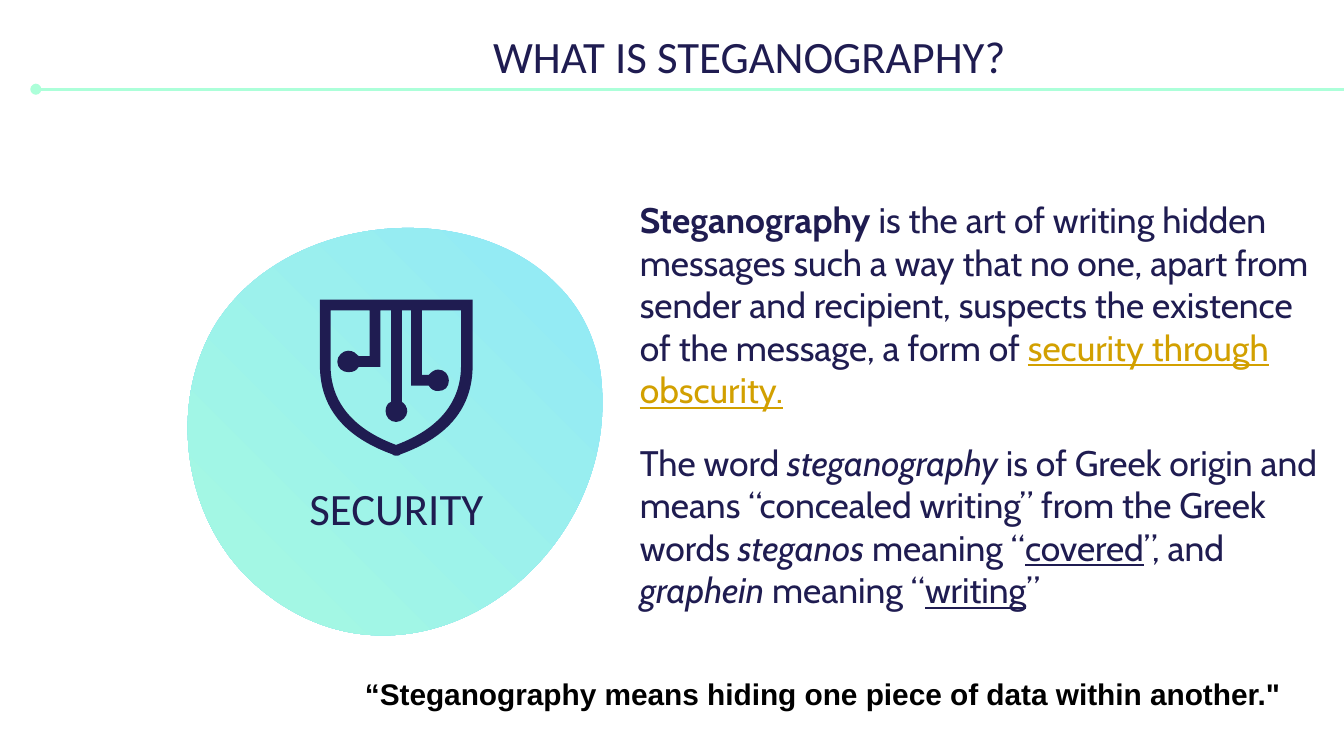
from itertools import islice
from math import cos, radians, sin
from lxml.etree import SubElement as Sub
from pptx import Presentation
from pptx.dml.color import RGBColor as Rgb
from pptx.enum.shapes import MSO_CONNECTOR as Link
from pptx.enum.text import PP_ALIGN as Align
from pptx.oxml.ns import qn
from pptx.util import Pt

HUE = {"navy": "1F1C51", "mint": "ACFFD9", "sky": "8BE3FF", "gold": "D2A000", "black": "000000"}
HEAD = {"name": "Calibri", "size": 24, "hue": "navy"}
BODY = {"name": "Cabin", "size": 19, "hue": "navy"}
NOTE = {"name": "Arial", "size": 16, "hue": "black", "bold": True}
BOLD, SLANT, UNDER = {"bold": True}, {"italic": True}, {"underline": True}
GOLD = {"underline": True, "hue": "gold"}

STORY = [
    [("Steganography", BOLD),
     (" is the art of writing hidden messages such a way that no one, apart from sender "
      "and recipient, suspects the existence of the message, a form of ", {}),
     ("security through obscurity.", GOLD)],
    [("The word ", {}), ("steganography", SLANT),
     (" is of Greek origin and means “concealed writing” from the Greek words ", {}),
     ("steganos", SLANT), (" meaning “", {}), ("covered", UNDER), ("”, and ", {}),
     ("graphein", SLANT), (" meaning “", {}), ("writing", UNDER), ("”", {})],
]
QUOTE = "“Steganography means hiding one piece of data within another.\""

TEXTS = [
    ((162, 8, 478.8, 42.5), 7.2, Align.CENTER, 0, HEAD, [[("WHAT IS STEGANOGRAPHY?", {})]]),
    ((335.7, 99, 384.3, 279.4), 7.2, Align.LEFT, 16, BODY, STORY),
    ((128.8, 250.2, 167, 42.5), 7.2, Align.CENTER, 0, HEAD, [[("SECURITY", {})]]),
    ((188.4, 358.6, 517.7, 26.6), 3.6, Align.LEFT, 0, NOTE, [[(QUOTE, {})]]),
]

TURN, HUB = 45, (217.8, 232.9)
BLOB = [[
    (298.1, 151.9), (251.3, 104.4, 150.5, 114.5, 114.5, 175.7),
    (90.7, 217.4, 98.6, 275, 132.5, 308.9), (133.2, 309.6, 133.9, 310.3, 134.6, 311),
    (215.3, 385.9, 330.5, 305.3, 322.6, 205.9), (321.1, 183.6, 311.8, 164.9, 298.1, 151.9),
]]
SHIELD = [
    [(247, 166.3), (247, 195.8), (247, 215.3, 235.4, 229.7, 212.4, 238.3),
     (212.4, 238.3, 212.4, 238.3, 212.2, 238.3), (212.2, 238.3, 212, 238.3, 212, 238.3),
     (189, 229.7, 177.1, 215.3, 177.1, 195.8), (177.1, 166.3),
     (198, 166.3), (198, 190.8), (192.2, 190.8),
     (190.8, 189.4, 189.4, 187.9, 186.5, 187.9), (183.6, 187.9, 180.7, 190.8, 180.7, 193.7),
     (180.7, 197.3, 183.6, 199.4, 186.5, 199.4), (189.4, 199.4, 190.8, 198.7, 192.2, 196.6),
     (203.8, 196.6), (203.8, 166.3), (209.5, 166.3), (209.5, 215.3),
     (207.4, 216, 206.6, 218.2, 206.6, 220.3), (206.6, 223.2, 208.8, 226.1, 212.2, 226.1),
     (215.3, 226.1, 218.2, 223.2, 218.2, 220.3), (218.2, 218.2, 216.7, 216, 215.3, 215.3),
     (215.3, 166.3), (220.3, 166.3), (220.3, 206.6), (229.7, 206.6),
     (231.1, 208.8, 232.6, 209.5, 234.7, 209.5), (238.3, 209.5, 240.5, 207.4, 240.5, 203.8),
     (240.5, 200.9, 238.3, 198, 234.7, 198), (232.6, 198, 231.1, 199.4, 229.7, 200.9),
     (226.1, 200.9), (226.1, 166.3)],
    [(171.4, 160.6), (171.4, 195.8), (171.4, 218.2, 184.3, 234, 210.2, 243.4),
     (210.2, 243.4, 211, 243.4, 211, 244), (212, 244.1), (213.1, 244.1), (213.8, 244),
     (213.8, 243.4, 214.6, 243.4, 214.6, 243.4),
     (240.5, 234, 253.2, 218.2, 253.2, 195.8), (253.2, 160.6)],
]


def color(key):
    return Rgb.from_string(HUE[key])


def spin(x, y, turn):
    dx, dy, arc = x - HUB[0], y - HUB[1], radians(turn)
    return (Pt(HUB[0] + dx * cos(arc) + dy * sin(arc)),
            Pt(HUB[1] - dx * sin(arc) + dy * cos(arc)))


def outline(paths, turn=0):
    form = None
    for path in paths:
        dots = [spin(*seg[i:i + 2], turn) for seg in path for i in range(0, len(seg), 2)]
        if form:
            form.move_to(*dots[0])
        else:
            form = slide.shapes.build_freeform(*dots[0])
        form.add_line_segments(dots[1:])
    shape = form.convert_to_shape()
    lines = iter(list(shape._element.iter(qn("a:lnTo"))))
    for seg in (seg for path in paths for seg in path[1:]):
        group = list(islice(lines, len(seg) // 2))
        if len(group) == 3:
            curve = group[0].makeelement(qn("a:cubicBezTo"))
            group[0].addprevious(curve)
            for line in group:
                curve.append(line[0])
                line.getparent().remove(line)
    shape.rotation = turn
    shape.shadow.inherit = False
    shape.line.fill.background()
    return shape


def write(box, pad, align, after, base, paras):
    frame = slide.shapes.add_textbox(*map(Pt, box)).text_frame
    frame.word_wrap = True
    for side in ("top", "bottom"):
        setattr(frame, "margin_" + side, Pt(pad))
    for index, runs in enumerate(paras):
        para = frame.add_paragraph() if index else frame.paragraphs[0]
        para.alignment, para.space_after = align, Pt(after)
        for text, extra in runs:
            run = para.add_run()
            run.text = text
            for key, value in {**base, **extra}.items():
                if key == "hue":
                    run.font.color.rgb = color(value)
                else:
                    setattr(run.font, key, Pt(value) if key == "size" else value)


deck = Presentation()
deck.slide_width, deck.slide_height = Pt(720), Pt(405)
slide = deck.slides.add_slide(deck.slide_layouts[6])

rule = slide.shapes.add_connector(Link.STRAIGHT, Pt(19.2), Pt(47.8), Pt(727), Pt(47.8))
rule.line.color.rgb, rule.line.width = color("mint"), Pt(1.5)
frame = rule._element.spPr
Sub(frame.find(qn("a:ln")), qn("a:headEnd"), type="oval")
Sub(frame, qn("a:effectLst"))

for item in TEXTS[:2]:
    write(*item)

blob = outline(BLOB, TURN)
blob.fill.gradient()
blob.fill.gradient_angle = 270
for stop, place, key in zip(blob.fill.gradient_stops, (0, 1), ("sky", "mint")):
    stop.position, stop.color.rgb = place, color(key)

shield = outline(SHIELD)
shield.fill.solid()
shield.fill.fore_color.rgb = color("navy")

for item in TEXTS[2:]:
    write(*item)

deck.save("out.pptx")
